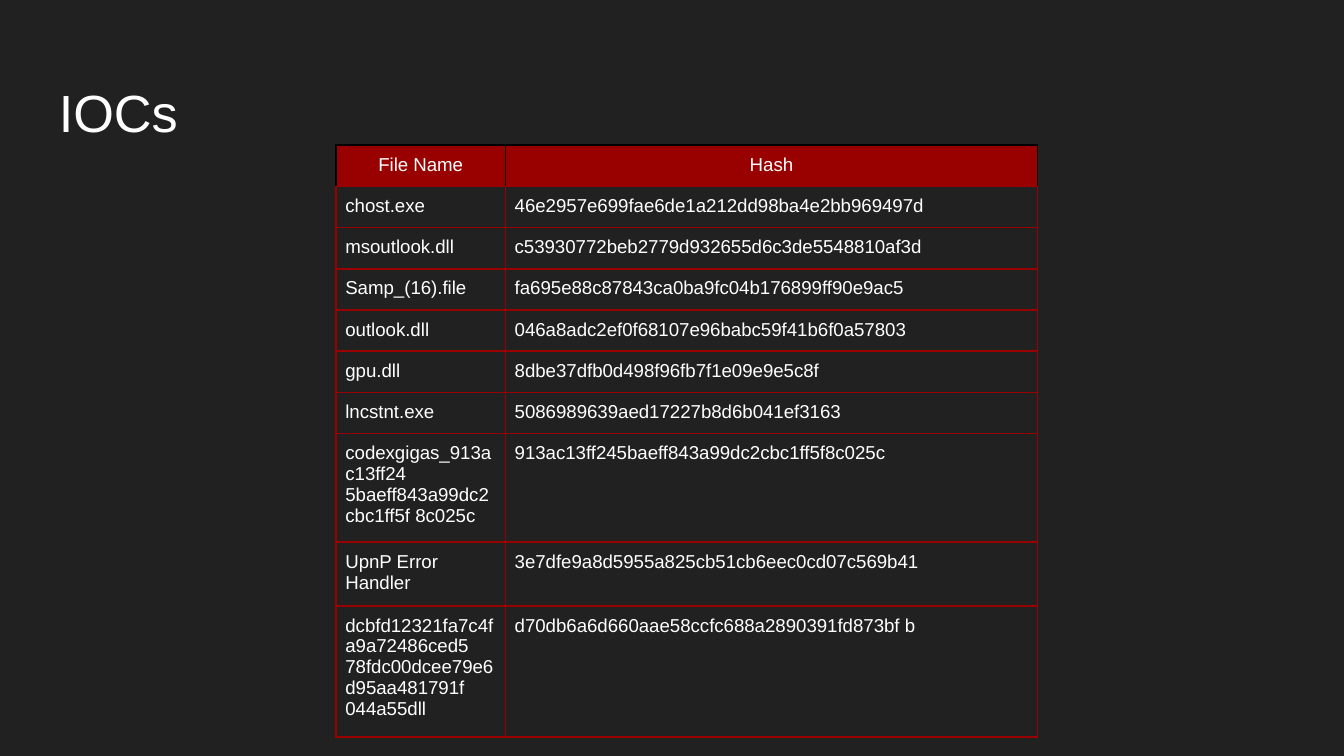
from pptx import Presentation
from pptx.dml.color import RGBColor
from pptx.enum.text import MSO_ANCHOR, PP_ALIGN
from pptx.oxml import parse_xml
from pptx.oxml.ns import nsdecls
from pptx.util import Inches, Pt

BACKGROUND = RGBColor(0x21, 0x21, 0x21)
WHITE = RGBColor(0xFF, 0xFF, 0xFF)
RED = RGBColor(0x99, 0x00, 0x00)
BLACK = RGBColor(0x00, 0x00, 0x00)

INDICATORS = [
    ("File Name", "Hash"),
    ("chost.exe", "46e2957e699fae6de1a212dd98ba4e2bb969497d"),
    ("msoutlook.dll", "c53930772beb2779d932655d6c3de5548810af3d"),
    ("Samp_(16).file", "fa695e88c87843ca0ba9fc04b176899ff90e9ac5"),
    ("outlook.dll", "046a8adc2ef0f68107e96babc59f41b6f0a57803"),
    ("gpu.dll ", "8dbe37dfb0d498f96fb7f1e09e9e5c8f"),
    ("lncstnt.exe ", "5086989639aed17227b8d6b041ef3163"),
    ("codexgigas_913ac13ff24 5baeff843a99dc2cbc1ff5f 8c025c",
     "913ac13ff245baeff843a99dc2cbc1ff5f8c025c"),
    ("UpnP Error Handler", "3e7dfe9a8d5955a825cb51cb6eec0cd07c569b41"),
    ("dcbfd12321fa7c4fa9a72486ced5 78fdc00dcee79e6d95aa481791f 044a55dll",
     "d70db6a6d660aae58ccfc688a2890391fd873bf b"),
]
COLUMN_WIDTHS = [1.26, 3.96]
SIDES = ("left", "top", "right", "bottom")


def write(para, text, size):
    span = para.add_run()
    span.text = text
    span.font.name = "Arial"
    span.font.size = Pt(size)
    span.font.color.rgb = WHITE


def set_borders(cell, colors):
    properties = cell._tc.get_or_add_tcPr()
    for position, (side, color) in enumerate(colors.items()):
        properties.insert(position, parse_xml(
            f'<a:{side} {nsdecls("a")} w="12700"><a:solidFill>'
            f'<a:srgbClr val="{color}"/></a:solidFill></a:{side}>'))


# Page in 16:9
deck = Presentation()
deck.slide_width = Inches(10)
deck.slide_height = Inches(10 * 9 / 16)
page = deck.slides.add_slide(deck.slide_layouts[6])
page.background.fill.solid()
page.background.fill.fore_color.rgb = BACKGROUND

# Title
title_box = page.shapes.add_textbox(Inches(0.34), Inches(0.49), Inches(9.32), Inches(0.63))
frame = title_box.text_frame
title_format = {"word_wrap": True, "vertical_anchor": MSO_ANCHOR.MIDDLE}
title_format.update({f"margin_{side}": Inches(0.1) for side in SIDES})
for name, value in title_format.items():
    setattr(frame, name, value)
frame.paragraphs[0].line_spacing = 1.1
write(frame.paragraphs[0], "IOCs", 28)

# Table of file names and hashes; rows grow to fit their text
table_frame = page.shapes.add_table(
    len(INDICATORS), len(COLUMN_WIDTHS),
    Inches(2.5), Inches(1.08), Inches(3.28), Inches(3.28))
table = table_frame.table
for column, width in zip(table.columns, COLUMN_WIDTHS):
    column.width = Inches(width)
for row in table.rows:
    row.height = Inches(0.01)
table_frame.width = table_frame.height = Inches(3.28)

for row_index, indicator in enumerate(INDICATORS):
    is_header = row_index == 0
    edge = BLACK if is_header else RED
    for column_index, text in enumerate(indicator):
        cell = table.cell(row_index, column_index)
        for side in SIDES:
            setattr(cell, f"margin_{side}", Inches(0.07))
        if is_header:
            cell.fill.solid()
            cell.fill.fore_color.rgb = RED
        else:
            cell.fill.background()
        para = cell.text_frame.paragraphs[0]
        para.alignment = PP_ALIGN.CENTER if is_header else PP_ALIGN.LEFT
        write(para, text, 10)
        set_borders(cell, {"lnL": edge, "lnR": edge, "lnT": edge, "lnB": RED})

deck.save("out.pptx")
